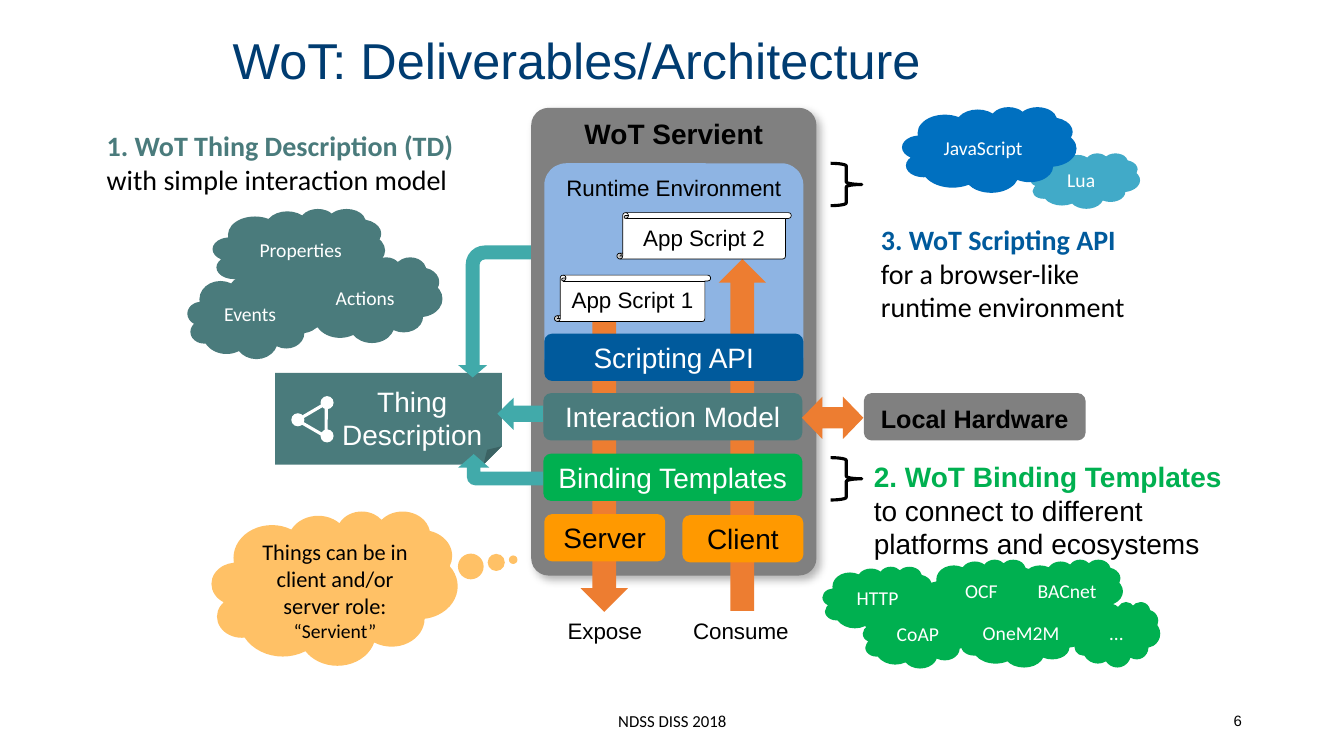
from collections import namedtuple
from dataclasses import dataclass
from typing import NamedTuple, Optional
from lxml import etree
from pptx import Presentation
from pptx.dml.color import RGBColor
from pptx.enum.shapes import MSO_SHAPE
from pptx.enum.text import MSO_ANCHOR, PP_ALIGN
from pptx.oxml.ns import qn
from pptx.util import Inches, Pt

ROUNDED, CLOUD, ELLIPSE = MSO_SHAPE.ROUNDED_RECTANGLE, MSO_SHAPE.CLOUD, MSO_SHAPE.OVAL
FOLDED, TRIANGLE, BRACE = MSO_SHAPE.FOLDED_CORNER, MSO_SHAPE.ISOSCELES_TRIANGLE, MSO_SHAPE.RIGHT_BRACE
BENT, DOWN, UP_DOWN = MSO_SHAPE.BENT_ARROW, MSO_SHAPE.DOWN_ARROW, MSO_SHAPE.UP_DOWN_ARROW
SCROLL, CALLOUT = MSO_SHAPE.VERTICAL_SCROLL, MSO_SHAPE.CLOUD_CALLOUT
LEFT, CENTER, RIGHT = PP_ALIGN.LEFT, PP_ALIGN.CENTER, PP_ALIGN.RIGHT
TOP, MIDDLE = MSO_ANCHOR.TOP, MSO_ANCHOR.MIDDLE

# The grid has ten columns and ten rows to the inch
COLUMNS, ROWS, CELL = 133.33, 75, Inches(0.1)
Box = tuple[float, float, float, float]  # left column, top row, columns, rows

STYLE = dict(
    sans="Arial", humanist="Calibri",
    title=36, large=20, medium=18, body=16, small=14, footer=12, number=10.7,
    black="000000", white="FFFFFF", gray="808080", navy="003C71", blue="005A9C", bright_blue="0070C0",
    light_blue="8EB4E3", sky="41AAC8", teal="41AAAA", slate="4A7B7C", green="00B050",
    orange="ED7D31", amber="FF9900")
THEME = namedtuple("Theme", STYLE)(**STYLE)


class Run(NamedTuple):
    text: str
    color: Optional[str] = None  # a coloured run is also bold
    size: Optional[float] = None


@dataclass(frozen=True)
class Label:
    runs: tuple[Run, ...]
    size: float = THEME.large
    font: str = THEME.sans
    color: str = THEME.black
    bold: bool = False
    align: PP_ALIGN = CENTER
    anchor: MSO_ANCHOR = MIDDLE
    insets: Box = (1, 0.5, 1, 0.5)
    wrap: bool = False
    spacing: float = 1


@dataclass(frozen=True)
class Block:
    box: Box
    kind: Optional[MSO_SHAPE] = None  # None makes a text box
    fill: Optional[str] = None
    label: Optional[Label] = None
    line_width: float = 0
    line: str = THEME.black
    rotation: float = 0
    flip: str = ""
    adjustments: tuple[float, ...] = ()
    opacity: int = 100
    shadow: bool = False


# Block builders
def label(text: str, **style) -> Label:
    return Label((Run(text),), **style)

def cloud(text: str, box: Box, fill: str, insets: Box = (1, 0.5, 1, 0.5)) -> Block:
    return Block(box, CLOUD, fill, label(
        text, size=THEME.small, font=THEME.humanist, color=THEME.white, insets=insets))

def bar(text: str, box: Box, fill: str, color: str = THEME.white) -> Block:
    return Block(box, ROUNDED, fill, label(text, color=color))

def scroll(text: str, box: Box) -> Block:
    return Block(box, SCROLL, THEME.white, label(text, size=THEME.body), line_width=0.5)

def heading(title: str, detail: str, box: Box, color: str, font: str) -> Block:
    runs = (Run(title + "\n", color), Run(detail))
    return Block(box, label=Label(runs, font=font, align=LEFT, anchor=TOP, wrap=True))

def caption(text: str, left: float) -> Block:
    return Block((left, 61, 10, 3.4), label=label(
        text, size=THEME.body, anchor=TOP, insets=(0, 0, 0, 0), spacing=1.1))

def brace(top: float) -> Block:
    return Block((82.4, top, 3.1, 4.2), BRACE, line_width=2.25)

def node(left: float, top: float) -> Block:
    return Block((left, top, 1.3, 1.3), ELLIPSE, THEME.white)


# Drawing
def write_label(shape, text: Label) -> None:
    frame = shape.text_frame
    frame.word_wrap, frame.vertical_anchor = text.wrap, text.anchor
    frame.margin_left, frame.margin_top, frame.margin_right, frame.margin_bottom = (
        int(inset * CELL) for inset in text.insets)
    paragraph = frame.paragraphs[0]
    paragraph.alignment, paragraph.line_spacing = text.align, text.spacing
    font = paragraph.font
    font.name, font.size, font.bold = text.font, Pt(text.size), text.bold
    font.color.rgb = RGBColor.from_string(text.color)
    for part in text.runs:
        for index, line in enumerate(part.text.split("\n")):
            if index:
                paragraph.add_line_break()
            if line:
                run = paragraph.add_run()
                run.text = line
                if part.color:
                    run.font.bold, run.font.color.rgb = True, RGBColor.from_string(part.color)
                if part.size:
                    run.font.size = Pt(part.size)

def paint(format_part, color: Optional[str]) -> None:
    if color:
        format_part.solid()
        format_part.fore_color.rgb = RGBColor.from_string(color)
    else:
        format_part.background()

def add_alpha(color, percent: int) -> None:
    etree.SubElement(color, qn("a:alpha"), val=str(percent * 1000))

def draw(slide, block: Block) -> None:
    place = [int(length * CELL) for length in block.box]
    if block.kind is None:
        shape = slide.shapes.add_textbox(*place)
    else:
        shape = slide.shapes.add_shape(block.kind, *place)
        properties = shape._element.spPr
        shape.shadow.inherit, shape.rotation = False, block.rotation
        for axis in block.flip:
            properties.xfrm.set("flip" + axis, "1")
        if block.adjustments:
            guides = properties.find(qn("a:prstGeom")).find(qn("a:avLst"))
            guides[:] = []
            for index, value in enumerate(block.adjustments, 1):
                name = f"adj{index}" if len(block.adjustments) > 1 else "adj"
                etree.SubElement(guides, qn("a:gd"), name=name, fmla=f"val {round(value * 100000)}")
        paint(shape.fill, block.fill)
        paint(shape.line.fill, block.line if block.line_width else None)
        if block.line_width:
            shape.line.width = Pt(block.line_width)
        if block.opacity < 100:
            add_alpha(properties.find(qn("a:solidFill")).find(qn("a:srgbClr")), block.opacity)
        if block.shadow:
            outer = etree.SubElement(properties.find(qn("a:effectLst")), qn("a:outerShdw"),
                                     blurRad=str(Pt(6)), dist=str(Pt(4)), dir="2700000")
            add_alpha(etree.SubElement(outer, qn("a:srgbClr"), val=THEME.black), 30)
    if block.label:
        write_label(shape, block.label)


PROTOCOLS = {"OCF": (91.9, 55.5, 11.1, 6.5), "HTTP": (81.6, 56.2, 11.1, 6.5), "CoAP": (85.6, 59.8, 11.1, 6.5),
             "OneM2M": (95.1, 59.7, 12.7, 6.5), "BACnet": (100.5, 55.5, 10.9, 6.5), "…": (106.4, 59.7, 8.7, 6.5)}
BLOCKS = [
    # Servient and its runtime
    Block((52.7, 10.7, 28.3, 46.4), ROUNDED, THEME.gray, label(
        "WoT Servient", bold=True, anchor=TOP, insets=(1, 0.4, 1, 0.8)), adjustments=(0.061,), shadow=True),
    Block((54, 16.2, 25.7, 21.3), ROUNDED, THEME.light_blue, label(
        "Runtime Environment", size=THEME.body, anchor=TOP), adjustments=(0.102,)),
    # Thing Description with its graph icon and arrows
    Block((27.3, 37, 22.5, 9.1), FOLDED, THEME.slate, label(
        "Thing\nDescription", color=THEME.white, insets=(4.7, 1.6, 0, 0)), adjustments=(0.202,)),
    Block((30, 39.8, 3.3, 2.9), TRIANGLE, line_width=2.25, line=THEME.white, rotation=30),
    node(31.8, 39.3), node(28.9, 41), node(31.8, 42.6),
    Block((48.1, 42.4, 3.1, 8.4), BENT, THEME.teal, rotation=90, flip="HV", adjustments=(0.435, 0.5, 0.434, 0.262)),
    Block((50, 38.8, 3.2, 4.5), DOWN, THEME.teal, rotation=90),
    Block((42.5, 27.3, 13.1, 7.2), BENT, THEME.teal, rotation=270, flip="H", adjustments=(0.193, 0.2, 0.171, 0.262)),
    # Numbered deliverables
    brace(16.2), brace(45.4),
    heading("1. WoT Thing Description (TD)", "with simple interaction model",
            (9.6, 12.3, 44.3, 7.7), THEME.slate, THEME.humanist),
    heading("2. WoT Binding Templates", "to connect to different\nplatforms and ecosystems",
            (85.7, 45.1, 40.3, 11.1), THEME.green, THEME.sans),
    heading("3. WoT Scripting API", "for a browser-like\nruntime environment",
            (86.4, 21.6, 40.3, 11.1), THEME.blue, THEME.humanist),
    # Clouds
    cloud("Events", (18.6, 27.1, 13.4, 8.5), THEME.slate),
    cloud("Properties", (21.1, 20.7, 17.1, 8.5), THEME.slate, (1.6, 0.5, 0, 0.5)),
    cloud("Actions", (29.6, 25.5, 14.3, 8.5), THEME.slate),
    cloud("Lua", (102.2, 15.2, 10.9, 5.5), THEME.sky),
    cloud("JavaScript", (89.5, 10.6, 17.3, 8.5), THEME.bright_blue),
    *(cloud(name, box, THEME.green, (1.6, 0.5, 1, 0.5)) for name, box in PROTOCOLS.items()),
    Block((21, 50.7, 24.4, 15.3), CALLOUT, THEME.amber, Label(
        (Run("Things can be in\nclient and/or\nserver role:\n"), Run("“Servient”", size=THEME.small)),
        THEME.body, THEME.humanist, insets=(2.8, 1.2, 1, 0)), adjustments=(0.726, -0.184), opacity=60),
    # Flows, then the layers and scripts over them
    Block((57.6, 31.9, 4.7, 28.8), DOWN, THEME.orange), caption("Expose", 55),
    Block((71.3, 25.7, 4.7, 34.9), DOWN, THEME.orange, flip="V"), caption("Consume", 68.5),
    bar("Interaction Model", (53.9, 39, 25.7, 4.7), THEME.slate),
    bar("Binding Templates", (53.9, 45, 25.7, 4.7), THEME.green),
    bar("Scripting API", (54, 33.1, 25.7, 4.7), THEME.blue),
    bar("Server", (54, 51, 12, 4.7), THEME.amber, THEME.black),
    bar("Client", (67.7, 51.1, 12, 4.7), THEME.amber, THEME.black),
    scroll("App Script 1", (55, 27.3, 15.5, 4.6)), scroll("App Script 2", (61.2, 21.1, 17.3, 4.6)),
    # Local hardware
    Block((80.5, 38.4, 4.2, 6.1), UP_DOWN, THEME.orange, rotation=270, flip="H", adjustments=(0.5, 0.483)),
    Block((85.7, 39, 22, 4.7), ROUNDED, THEME.gray, label(
        "Local Hardware", size=THEME.medium, bold=True, wrap=True, insets=(1.2, 0.6, 1.2, 0.6), spacing=1.1)),
    # Title and footer
    Block((22.1, 1.9, 99.7, 9.3), label=label("WoT: Deliverables/Architecture", size=THEME.title, color=THEME.navy,
                                              align=LEFT, anchor=TOP, insets=(1, 1, 1, 1), wrap=True)),
    Block((44.2, 69.5, 45, 4), label=label("NDSS DISS 2018", size=THEME.footer, font=THEME.humanist, wrap=True)),
    Block((94.2, 69.5, 30, 4), label=label("6", size=THEME.number, align=RIGHT, wrap=True))]

presentation = Presentation()
presentation.slide_width, presentation.slide_height = int(COLUMNS * CELL), int(ROWS * CELL)
page = presentation.slides.add_slide(presentation.slide_layouts[6])
for item in BLOCKS:
    draw(page, item)
presentation.save("out.pptx")
